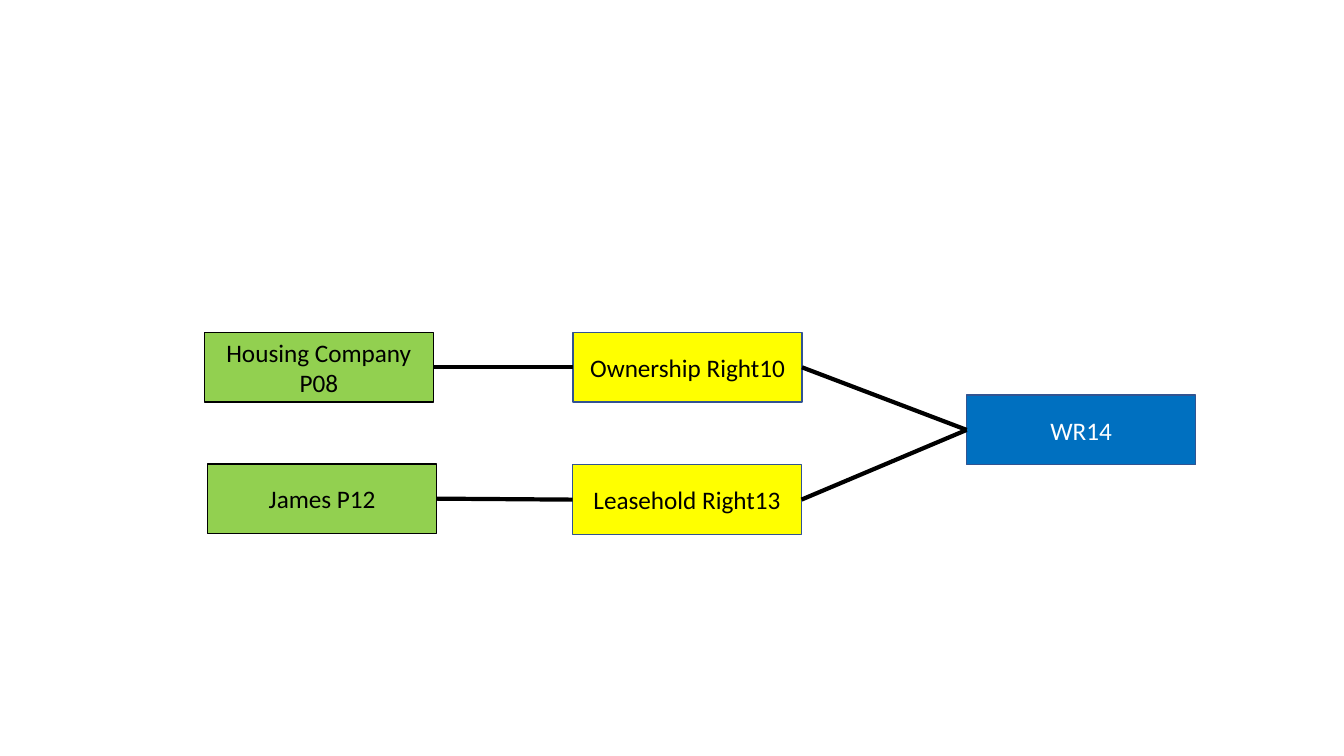
from lxml import etree
from pptx import Presentation
from pptx import util as u
from pptx.dml.color import RGBColor
from pptx.enum import shapes, text
from pptx.oxml.ns import qn

BOX_WIDTH, BOX_HEIGHT = 163.5, 49.8
LEFT_SITE, RIGHT_SITE = 1, 3  # connection sites of a rectangle

# role: fill, outline, text colour
ROLES = {
    "party": ("92D050", "000000", "000000"),
    "right": ("FFFF00", "325491", "000000"),
    "unit": ("0070C0", "325491", "FFFFFF"),
}
# label, role, left, top
BOXES = [
    ("WR14", "unit", 690.5, 282.2),
    ("Ownership Right10", "right", 409.4, 237.5),
    ("Housing Company P08", "party", 146, 237.5),
    ("Leasehold Right13", "right", 409, 332),
    ("James P12", "party", 148.4, 331.3),
]
LINKS = [
    ("Housing Company P08", "Ownership Right10"),
    ("Ownership Right10", "WR14"),
    ("James P12", "Leasehold Right13"),
    ("Leasehold Right13", "WR14"),
]


def color(hex_value):
    """Turn a hex string into a colour."""
    return RGBColor.from_string(hex_value)


def write(frame, content, *, size=18, font="Calibri", ink="000000"):
    """Put centred, formatted text into a text frame."""
    frame.word_wrap = True
    frame.vertical_anchor = text.MSO_ANCHOR.MIDDLE
    paragraph = frame.paragraphs[0]
    paragraph.alignment = text.PP_ALIGN.CENTER
    run = paragraph.add_run()
    run.text = content
    run.font.size = u.Pt(size)
    run.font.name = font
    run.font.color.rgb = color(ink)


def draw_line(line, hex_value, width):
    """Set the colour and width of a line."""
    line.color.rgb = color(hex_value)
    line.width = u.Pt(width)


def add_box(slide, label, role, left, top):
    """Add one labelled rectangle in the colours of its role."""
    fill, outline, ink = ROLES[role]
    box = slide.shapes.add_shape(
        shapes.MSO_SHAPE.RECTANGLE,
        u.Pt(left), u.Pt(top), u.Pt(BOX_WIDTH), u.Pt(BOX_HEIGHT))
    box.shadow.inherit = False
    box.fill.solid()
    box.fill.fore_color.rgb = color(fill)
    draw_line(box.line, outline, 1)
    write(box.text_frame, label, ink=ink)
    return box


def add_link(slide, source, target):
    """Join the right side of one box to the left side of another."""
    link = slide.shapes.add_connector(shapes.MSO_CONNECTOR.STRAIGHT, 0, 0, 0, 0)
    link.begin_connect(source, RIGHT_SITE)
    link.end_connect(target, LEFT_SITE)
    draw_line(link.line, "000000", 3)
    etree.SubElement(link._element.spPr, qn("a:effectLst"))


deck = Presentation()
deck.slide_width, deck.slide_height = u.Pt(960), u.Pt(540)
slide = deck.slides.add_slide(deck.slide_layouts[6])

boxes = {box[0]: add_box(slide, *box) for box in BOXES}
for source, target in LINKS:
    add_link(slide, boxes[source], boxes[target])

deck.save("out.pptx")
